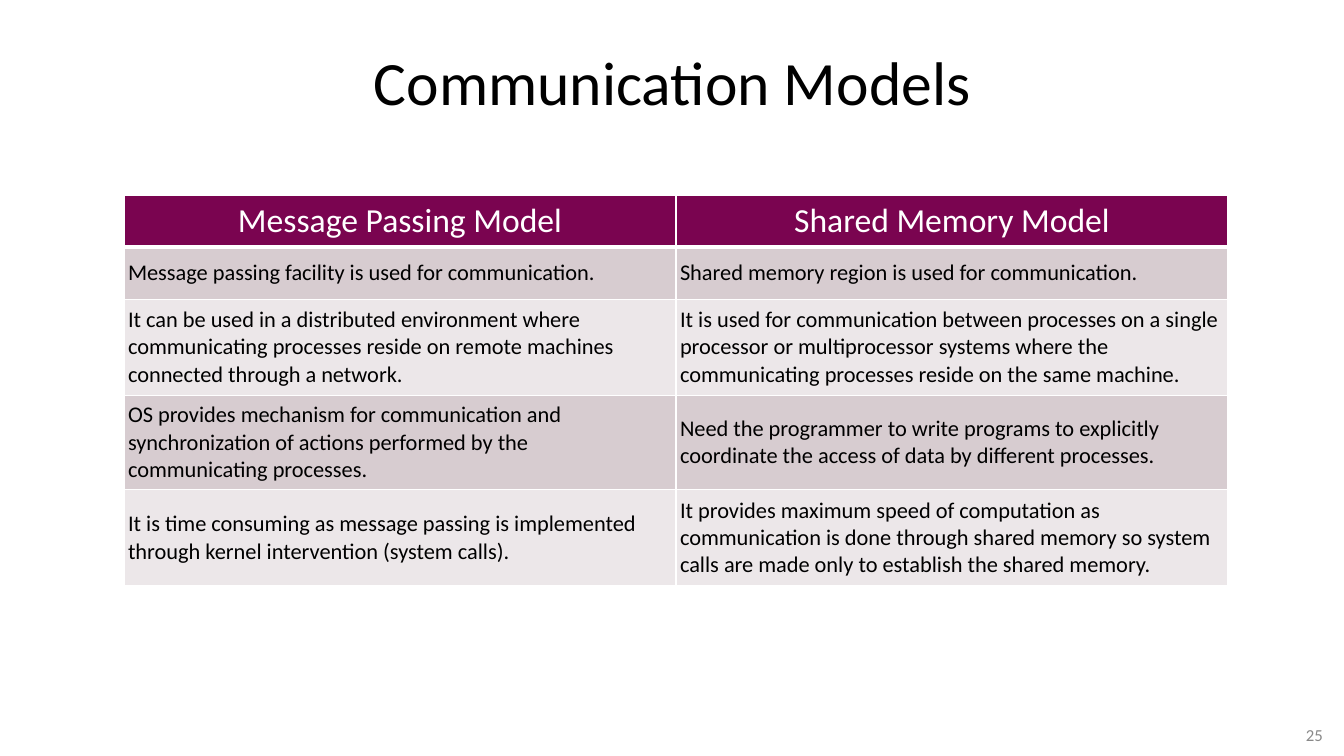
from lxml.etree import SubElement
from pptx import Presentation
from pptx.dml.color import RGBColor
from pptx.enum.text import MSO_ANCHOR as ANCHOR, PP_ALIGN as ALIGN
from pptx.oxml.ns import qn
from pptx.util import Inches, Pt

BLACK = RGBColor(0x00, 0x00, 0x00)
WHITE = RGBColor(0xFF, 0xFF, 0xFF)
GRAY = RGBColor(0x89, 0x89, 0x89)
PLUM = RGBColor(0x7A, 0x04, 0x50)
BANDS = RGBColor(0xEC, 0xE7, 0xE9), RGBColor(0xD7, 0xCC, 0xD0)

ROWS = [
    ("Message Passing Model", "Shared Memory Model"),
    ("Message passing facility is used for communication.",
     "Shared memory region is used for communication."),
    ("It can be used in a distributed environment where communicating "
     "processes reside on remote machines connected through a network.",
     "It is used for communication between processes on a single processor or "
     "multiprocessor systems where the communicating processes reside on the same machine."),
    ("OS provides mechanism for communication and synchronization of actions "
     "performed by the communicating processes.",
     "Need the programmer to write programs to explicitly coordinate the "
     "access of data by different processes."),
    ("It is time consuming as message passing is implemented through kernel "
     "intervention (system calls).",
     "It provides maximum speed of computation as communication is done through "
     "shared memory so system calls are made only to establish the shared memory."),
]
HEIGHTS = [0.51, 0.52, 0.95, 0.94, 0.95]


class SlideBuilder:
    """Adds styled text and tables to one slide."""

    def __init__(self, slide, font="Calibri"):
        self.s = slide
        self.font = font

    def add_run(self, tf, text, size, color, align):
        p = tf.paragraphs[0]
        p.alignment = align
        r = p.add_run()
        r.text = text
        for name, value in {"name": self.font, "size": Pt(size), "bold": False}.items():
            setattr(r.font, name, value)
        r.font.color.rgb = color

    def text(self, text, box, size, color, align):
        tf = self.s.shapes.add_textbox(*map(Inches, box)).text_frame
        for name, value in {"word_wrap": True, "vertical_anchor": ANCHOR.MIDDLE}.items():
            setattr(tf, name, value)
        self.add_run(tf, text, size, color, align)

    def borders(self, cell, color, widths):
        tcPr = cell._tc.get_or_add_tcPr()
        for side, width in zip("LRTB", widths):
            ln = SubElement(tcPr, qn(f"a:ln{side}"), w=str(Pt(width)))
            fill = SubElement(ln, qn("a:solidFill"))
            SubElement(fill, qn("a:srgbClr"), val=str(color))

    def table(self, rows, heights, box):
        shape = self.s.shapes.add_table(len(rows), len(rows[0]), *map(Inches, box))
        table = shape.table
        for i, (row, height) in enumerate(zip(rows, heights)):
            table.rows[i].height = Inches(height)
            head = i == 0
            pad = Inches(0.04 if head else 0.06)
            style = {"vertical_anchor": ANCHOR.MIDDLE,
                     "margin_left": Inches(0.04), "margin_right": Inches(0.04),
                     "margin_top": pad, "margin_bottom": pad}
            for j, text in enumerate(row):
                cell = table.cell(i, j)
                for name, value in style.items():
                    setattr(cell, name, value)
                self.borders(cell, WHITE, (1, 1, 3 if i == 1 else 1, 3 if head else 1))
                cell.fill.solid()
                cell.fill.fore_color.rgb = PLUM if head else BANDS[i % 2]
                self.add_run(cell.text_frame, text, 24 if head else 16,
                             WHITE if head else BLACK,
                             ALIGN.CENTER if head else ALIGN.LEFT)


def main():
    prs = Presentation()
    prs.slide_width, prs.slide_height = Inches(13.33), Inches(7.5)
    b = SlideBuilder(prs.slides.add_slide(prs.slide_layouts[6]))
    b.text("Communication Models", (0.67, 0.3, 12, 1.01), 44, BLACK, ALIGN.CENTER)
    b.table(ROWS, HEIGHTS, (1.23, 1.94, 10.95, sum(HEIGHTS)))
    b.text("25", (11.79, 7.14, 1.43, 0.29), 12, GRAY, ALIGN.RIGHT)
    prs.save("out.pptx")


if __name__ == "__main__":
    main()
